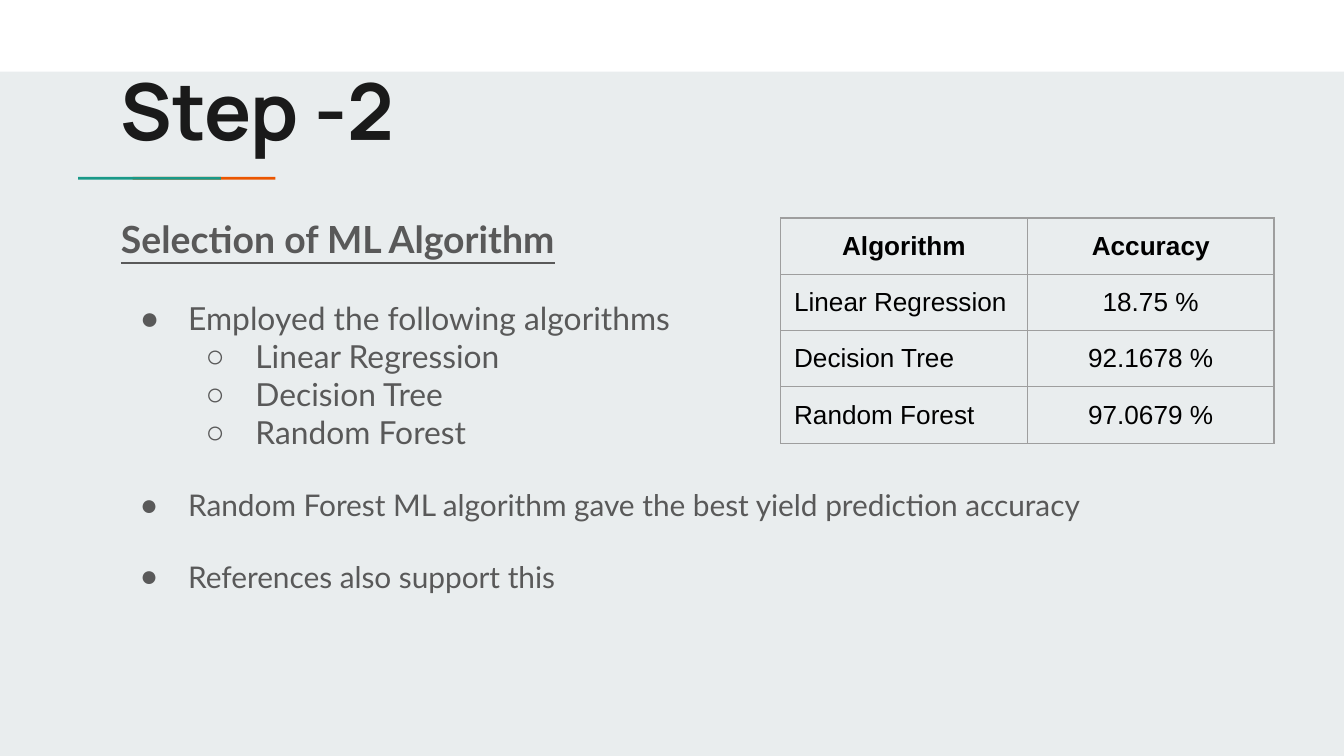
from lxml.etree import SubElement
from pptx import Presentation
from pptx.dml.color import RGBColor
from pptx.enum.shapes import MSO_SHAPE
from pptx.enum.text import MSO_ANCHOR, MSO_AUTO_SIZE, PP_ALIGN
from pptx.oxml.ns import qn
from pptx.util import Pt

ALGORITHMS = ["Linear Regression", "Decision Tree", "Random Forest"]
ACCURACIES = ["18.75 %", "92.1678 %", "97.0679 %"]


def color(hex_string):
    return RGBColor.from_string(hex_string)


def write(paragraph, text, font="Lato", size=16, fill="595959", bold=False,
          underline=False, align=PP_ALIGN.LEFT, before=0, spacing=1.0):
    paragraph.alignment = align
    paragraph.space_before = Pt(before)
    paragraph.line_spacing = spacing
    run = paragraph.add_run()
    run.text = text
    run.font.name = font
    run.font.size = Pt(size)
    run.font.bold = bold
    run.font.underline = underline
    run.font.color.rgb = color(fill)


def add_bullet(paragraph, level):
    """Give the paragraph a hanging bullet for its list level."""
    paragraph.level = level
    properties = paragraph._p.get_or_add_pPr()
    properties.set("marL", str(Pt(36 * (level + 1))))
    properties.set("indent", str(Pt(-26.6 if level else -25.8)))
    bullet_color = SubElement(properties, qn("a:buClr"))
    SubElement(bullet_color, qn("a:srgbClr"), val="595959")
    SubElement(properties, qn("a:buFont"), typeface="Arial")
    SubElement(properties, qn("a:buChar"), char="○" if level else "●")


def add_borders(cell, fill, width):
    properties = cell._tc.get_or_add_tcPr()
    for side in ("lnL", "lnR", "lnT", "lnB"):
        line = SubElement(properties, qn(f"a:{side}"), w=str(Pt(width)))
        solid = SubElement(line, qn("a:solidFill"))
        SubElement(solid, qn("a:srgbClr"), val=fill)


class SlideBuilder:
    inset = 7.2
    border = "9E9E9E"

    def __init__(self, slide):
        self.slide = slide

    def set_background(self, fill):
        background = self.slide.background.fill
        background.solid()
        background.fore_color.rgb = color(fill)

    def set_insets(self, target):
        for side in ("left", "right", "top", "bottom"):
            setattr(target, f"margin_{side}", Pt(self.inset))

    def add_rectangle(self, left, top, width, height, fill):
        shape = self.slide.shapes.add_shape(
            MSO_SHAPE.RECTANGLE, Pt(left), Pt(top), Pt(width), Pt(height))
        shape.shadow.inherit = False
        shape.fill.solid()
        shape.fill.fore_color.rgb = color(fill)
        shape.line.fill.background()

    def place(self, placeholder, left, top, width, height, anchor):
        """Move a placeholder to the front and return its text frame."""
        self.slide.shapes._spTree.append(placeholder._element)
        placeholder.left, placeholder.top = Pt(left), Pt(top)
        placeholder.width, placeholder.height = Pt(width), Pt(height)
        frame = placeholder.text_frame
        frame.word_wrap = True
        frame.auto_size = MSO_AUTO_SIZE.NONE
        frame.vertical_anchor = anchor
        self.set_insets(frame)
        return frame

    def add_title(self, text):
        frame = self.place(self.slide.shapes.title, 57.6, 22.3, 605.5, 69.1,
                           MSO_ANCHOR.BOTTOM)
        write(frame.paragraphs[0], text, font="Manrope", size=42,
              fill="1A1A1A", bold=True, spacing=0.9)

    def add_list(self, heading, items):
        frame = self.place(self.slide.placeholders[1], 57.6, 108.7, 605.5, 278.6,
                           MSO_ANCHOR.TOP)
        write(frame.paragraphs[0], heading, size=20, bold=True, underline=True)
        for text, level, size, before in items:
            paragraph = frame.add_paragraph()
            add_bullet(paragraph, level)
            write(paragraph, text, size=size, before=before)

    def add_table(self, rows, left, top, column_width, row_height):
        columns = len(rows[0])
        table = self.slide.shapes.add_table(
            len(rows), columns, Pt(left), Pt(top),
            Pt(column_width * columns), Pt(row_height * len(rows))).table
        table.first_row = table.horz_banding = False
        for column in table.columns:
            column.width = Pt(column_width)
        for row_index, row in enumerate(rows):
            for column_index, text in enumerate(row):
                cell = table.cell(row_index, column_index)
                header = row_index == 0
                centered = header or column_index > 0
                self.set_insets(cell)
                add_borders(cell, self.border, 0.75)
                cell.fill.background()
                write(cell.text_frame.paragraphs[0], text, font="Arial", size=14,
                      fill="000000", bold=header,
                      align=PP_ALIGN.CENTER if centered else PP_ALIGN.LEFT)


def main():
    presentation = Presentation()
    presentation.slide_width, presentation.slide_height = Pt(720), Pt(405)
    builder = SlideBuilder(
        presentation.slides.add_slide(presentation.slide_layouts[0]))

    builder.set_background("E9EDEE")
    builder.add_rectangle(0, 0, 720, 38.4, "FFFFFF")
    builder.add_rectangle(71, 94.7, 76.5, 1.5, "EB5600")
    builder.add_rectangle(41.8, 94.7, 76.5, 1.5, "1A9988")

    builder.add_title("Step -2")
    builder.add_list("Selection of ML Algorithm", [
        ("Employed the following algorithms", 0, 17, 20.2),
        *[(name, 1, 17, 0) for name in ALGORITHMS],
        ("Random Forest ML algorithm gave the best yield prediction accuracy",
         0, 16, 19.2),
        ("References also support this", 0, 16, 19.2),
    ])
    builder.add_table([("Algorithm", "Accuracy"), *zip(ALGORITHMS, ACCURACIES)],
                      418.2, 116.8, 132.2, 28.2)

    presentation.save("out.pptx")


if __name__ == "__main__":
    main()
